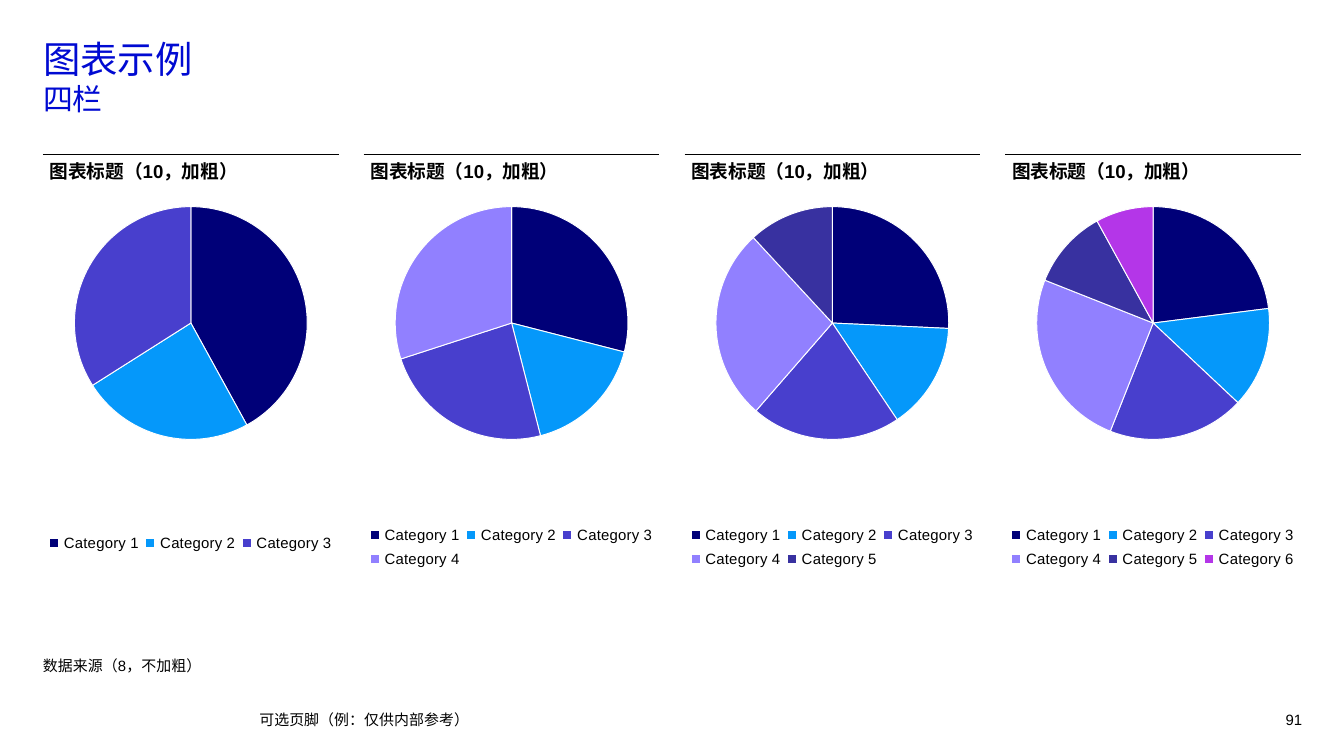
from lxml.etree import SubElement
from pptx import Presentation
from pptx.chart.data import CategoryChartData
from pptx.dml.color import RGBColor
from pptx.enum.chart import XL_CHART_TYPE, XL_LEGEND_POSITION
from pptx.enum.shapes import MSO_CONNECTOR
from pptx.enum.text import MSO_ANCHOR, MSO_AUTO_SIZE, PP_ALIGN
from pptx.oxml.ns import qn
from pptx.util import Inches, Pt

BLACK = RGBColor(0x00, 0x00, 0x00)
WHITE = RGBColor(0xFF, 0xFF, 0xFF)
TITLE_BLUE = RGBColor(0x00, 0x0A, 0xD2)
SLICE_COLORS = [
    RGBColor(0x00, 0x00, 0x78),
    RGBColor(0x05, 0x98, 0xFA),
    RGBColor(0x48, 0x3F, 0xCD),
    RGBColor(0x91, 0x80, 0xFF),
    RGBColor(0x38, 0x31, 0xA0),
    RGBColor(0xB4, 0x36, 0xE8),
]
LATIN_FONT = "Arial"
CHINESE_FONT = "Noto Sans CJK SC"

SLIDE_WIDTH = 10
SLIDE_HEIGHT = SLIDE_WIDTH * 9 / 16
LEFT = 0.32
COLUMN_WIDTH = 2.2
COLUMN_PITCH = 7.16 / 3
LEGEND_COLUMNS = 3
PIE_VALUES = [
    [42, 24, 34],
    [29, 17, 24, 30],
    [26, 15, 21, 27, 12],
    [23, 14, 19, 25, 11, 8],
]


class ChartSlide:
    """Holds the current slide and the style of its elements."""

    def __init__(self, presentation):
        self.slide = presentation.slides.add_slide(presentation.slide_layouts[5])
        self.shapes = self.slide.shapes

    def style_run(self, run, size, color=BLACK, bold=False, latin=LATIN_FONT):
        run.font.size = Pt(size)
        run.font.bold = bold
        run.font.color.rgb = color
        run.font.name = latin
        SubElement(run.font._element, qn("a:ea"), typeface=CHINESE_FONT)

    def set_frame(self, frame, anchor):
        frame.word_wrap = True
        frame.auto_size = MSO_AUTO_SIZE.NONE
        frame.vertical_anchor = anchor
        frame.margin_left = frame.margin_right = 0
        frame.margin_top = frame.margin_bottom = 0

    def title(self, heading, subheading):
        title = self.shapes.title
        title.left, title.top = Inches(LEFT), Inches(0.27)
        title.width, title.height = Inches(9.37), Inches(0.72)
        self.set_frame(title.text_frame, MSO_ANCHOR.TOP)
        title.text_frame.text = f"{heading}\v{subheading}"
        paragraph = title.text_frame.paragraphs[0]
        paragraph.alignment = PP_ALIGN.LEFT
        paragraph.line_spacing = 1.0
        for run, size in zip(paragraph.runs, (20, 16)):
            self.style_run(run, size, TITLE_BLUE, latin=CHINESE_FONT)

    def text(self, wording, left, top, width, height, size=8, bold=False,
             anchor=MSO_ANCHOR.MIDDLE, align=PP_ALIGN.LEFT, spacing=1.0):
        box = self.shapes.add_textbox(
            Inches(left), Inches(top), Inches(width), Inches(height))
        self.set_frame(box.text_frame, anchor)
        box.text_frame.text = wording
        paragraph = box.text_frame.paragraphs[0]
        paragraph.alignment = align
        paragraph.line_spacing = spacing
        self.style_run(paragraph.runs[0], size, bold=bold)

    def rule(self, left, top, width):
        rule = self.shapes.add_connector(
            MSO_CONNECTOR.STRAIGHT, Inches(left), Inches(top),
            Inches(left + width), Inches(top))
        rule.line.color.rgb = BLACK
        rule.line.width = Pt(0.75)
        SubElement(rule._element.spPr, qn("a:effectLst"))

    def place(self, chart_part, position, x, y, w, h, inner=False):
        """Fix a plot area or legend; position is the layout's child index."""
        for old_layout in chart_part.findall(qn("c:layout")):
            chart_part.remove(old_layout)
        layout = SubElement(chart_part, qn("c:layout"))
        chart_part.insert(position, layout)
        manual = SubElement(layout, qn("c:manualLayout"))
        if inner:
            SubElement(manual, qn("c:layoutTarget"), val="inner")
        settings = {"xMode": "edge", "yMode": "edge", "x": x, "y": y, "w": w, "h": h}
        for key, value in settings.items():
            SubElement(manual, qn(f"c:{key}"), val=str(value))

    def pie(self, values, left, top, width, height):
        data = CategoryChartData()
        data.categories = [f"Category {i}" for i in range(1, len(values) + 1)]
        data.add_series("Series 1", values)
        chart = self.shapes.add_chart(
            XL_CHART_TYPE.PIE, Inches(left), Inches(top),
            Inches(width), Inches(height), data).chart
        chart.has_title = False
        chart.font.size, chart.font.name = Pt(10), LATIN_FONT
        chart.font.color.rgb = BLACK

        # Slices
        plot = chart.plots[0]
        plot.vary_by_categories = True
        for i, color in enumerate(SLICE_COLORS[:len(values)]):
            slice_format = plot.series[0].points[i].format
            slice_format.fill.solid()
            slice_format.fill.fore_color.rgb = color
            slice_format.line.color.rgb = WHITE
            slice_format.line.width = Pt(0.5)
        self.place(chart._chartSpace.chart.plotArea, 0,
                   x=0.1, y=0.12, w=0.8, h=0.55, inner=True)

        # Legend below the pie
        chart.has_legend = True
        legend = chart.legend
        legend.position = XL_LEGEND_POSITION.RIGHT
        legend.include_in_layout = False
        legend.font.size, legend.font.name = Pt(8), LATIN_FONT
        legend.font.color.rgb = BLACK
        legend_top = 0.85 if len(values) <= LEGEND_COLUMNS else 0.86
        self.place(legend._element, 1, x=0, y=legend_top, w=1, h=0.13)


def main():
    presentation = Presentation()
    presentation.slide_width = Inches(SLIDE_WIDTH)
    presentation.slide_height = Inches(SLIDE_HEIGHT)
    page = ChartSlide(presentation)
    page.title("图表示例", "四栏")

    # Four chart columns
    for column, values in enumerate(PIE_VALUES):
        left = LEFT + column * COLUMN_PITCH
        page.rule(left, 1.15, COLUMN_WIDTH)
        page.pie(values, left, 1.16, COLUMN_WIDTH, 3.15)
        page.text("图表标题（10，加粗）", left + 0.05, 1.19, COLUMN_WIDTH - 0.05, 0.2,
                  size=10, bold=True, anchor=MSO_ANCHOR.TOP)

    # Source note and footer
    page.text("数据来源（8，不加粗）", LEFT, 4.49, 9.37, 0.53,
              anchor=MSO_ANCHOR.BOTTOM, spacing=1.1)
    page.text("可选页脚（例：仅供内部参考）", 1.93, 5.28, 6.46, 0.15)
    page.text("91", 9.3, 5.28, 0.39, 0.15, align=PP_ALIGN.RIGHT)

    presentation.save("out.pptx")


if __name__ == "__main__":
    main()
